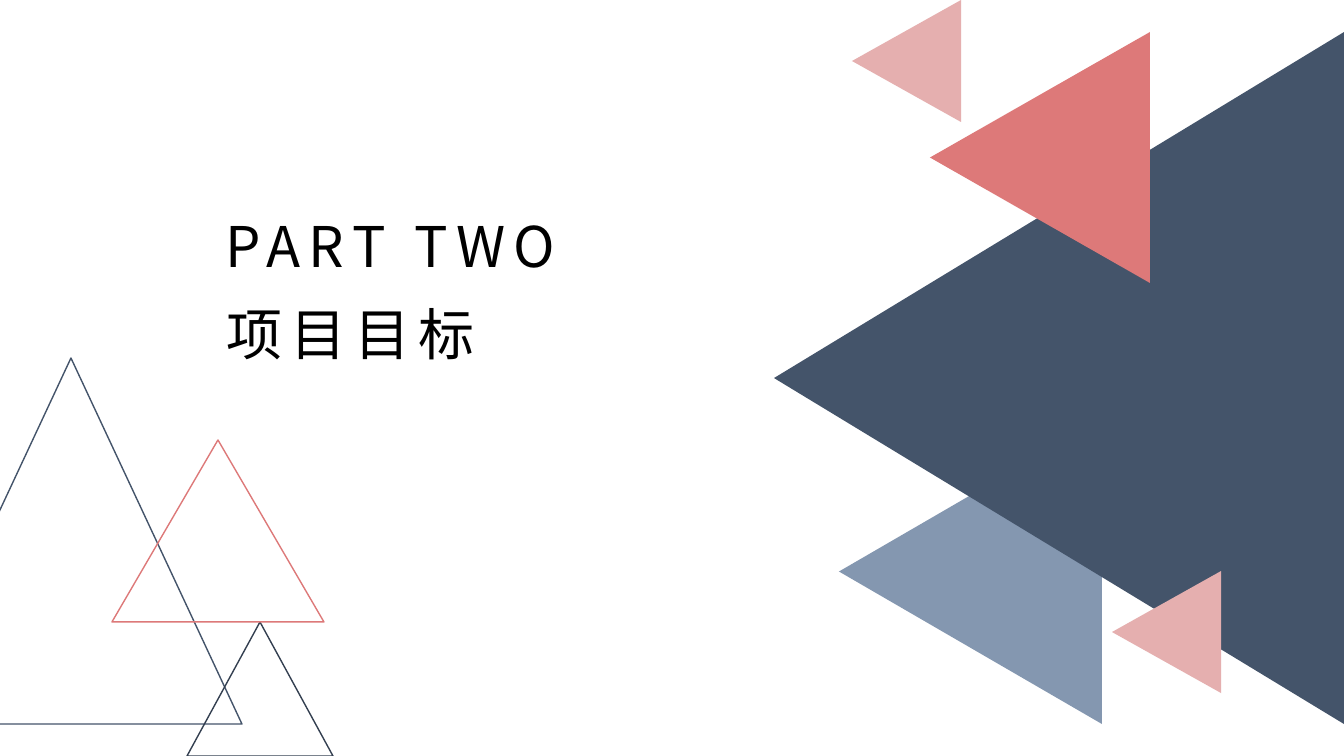
from lxml import etree
from pptx import Presentation
from pptx.dml.color import RGBColor
from pptx.enum.shapes import MSO_SHAPE
from pptx.enum.text import MSO_AUTO_SIZE
from pptx.oxml.ns import qn
from pptx.util import Pt

TRIANGLE = MSO_SHAPE.ISOSCELES_TRIANGLE
GROW = MSO_AUTO_SIZE.SHAPE_TO_FIT_TEXT

SLIDE_W, SLIDE_H = 1344, 756
EMU_PER_PX = 914400 / 100.8
FONT = "Noto Sans CJK SC"
COLORS = {
    "navy": "44546A",
    "dark": "333F50",
    "steel": "8497B0",
    "coral": "DD7979",
    "pink": "E5AFAF",
    "black": "000000",
}

# Visible left, top, width, height in px, then colour; back to front
LEFT_POINTING = [
    (839, 419, 263, 305, "steel"),
    (774, 32, 570, 692, "navy"),
    (930, 32, 220, 251, "coral"),
    (852, 0, 109, 122, "pink"),
    (1112, 571, 109, 122, "pink"),
]
OUTLINED = [
    (-100, 358, 342, 366, "navy"),
    (187, 622, 146, 134, "dark"),
    (112, 440, 212, 182, "coral"),
]
TITLES = [
    ("项目目标", (213, 293, 460, 82)),
    ("PART TWO", (213, 205, 491, 82)),
]


def px(n):
    return round(n * EMU_PER_PX)


def rgb(name):
    return RGBColor.from_string(COLORS[name])


def add_triangle(slide, x, y, w, h):
    sp = slide.shapes.add_shape(TRIANGLE, px(x), px(y), px(w), px(h))
    sp.shadow.inherit = False
    return sp


def add_left_triangle(slide, x, y, w, h, color):
    """Fill a triangle turned to point left; x, y, w, h is the box it covers."""
    shift = (w - h) / 2
    sp = add_triangle(slide, x + shift, y - shift, h, w)
    sp.rotation = 270
    sp.fill.solid()
    sp.fill.fore_color.rgb = rgb(color)
    sp.line.fill.background()


def add_outlined_triangle(slide, x, y, w, h, color):
    sp = add_triangle(slide, x, y, w, h)
    sp.fill.background()
    sp.line.color.rgb = rgb(color)
    sp.line.width = Pt(1)


def add_text(slide, text, box, size=40, color="black", spacing=6):
    sp = slide.shapes.add_textbox(*map(px, box))
    tf = sp.text_frame
    tf.word_wrap = True
    tf.auto_size = GROW
    tf.margin_left = tf.margin_right = px(13)
    tf.margin_top = tf.margin_bottom = px(7)
    r = tf.paragraphs[0].add_run()
    r.text = text
    r.font.size = Pt(size)
    r.font.name = FONT
    r.font.color.rgb = rgb(color)
    props = r.font._element
    props.set("spc", str(spacing * 100))
    etree.SubElement(props, qn("a:ea")).set("typeface", FONT)


def main():
    prs = Presentation()
    prs.slide_width, prs.slide_height = px(SLIDE_W), px(SLIDE_H)
    slide = prs.slides.add_slide(prs.slide_layouts[6])
    for triangle in LEFT_POINTING:
        add_left_triangle(slide, *triangle)
    for triangle in OUTLINED:
        add_outlined_triangle(slide, *triangle)
    for text, box in TITLES:
        add_text(slide, text, box)
    prs.save("out.pptx")


if __name__ == "__main__":
    main()
